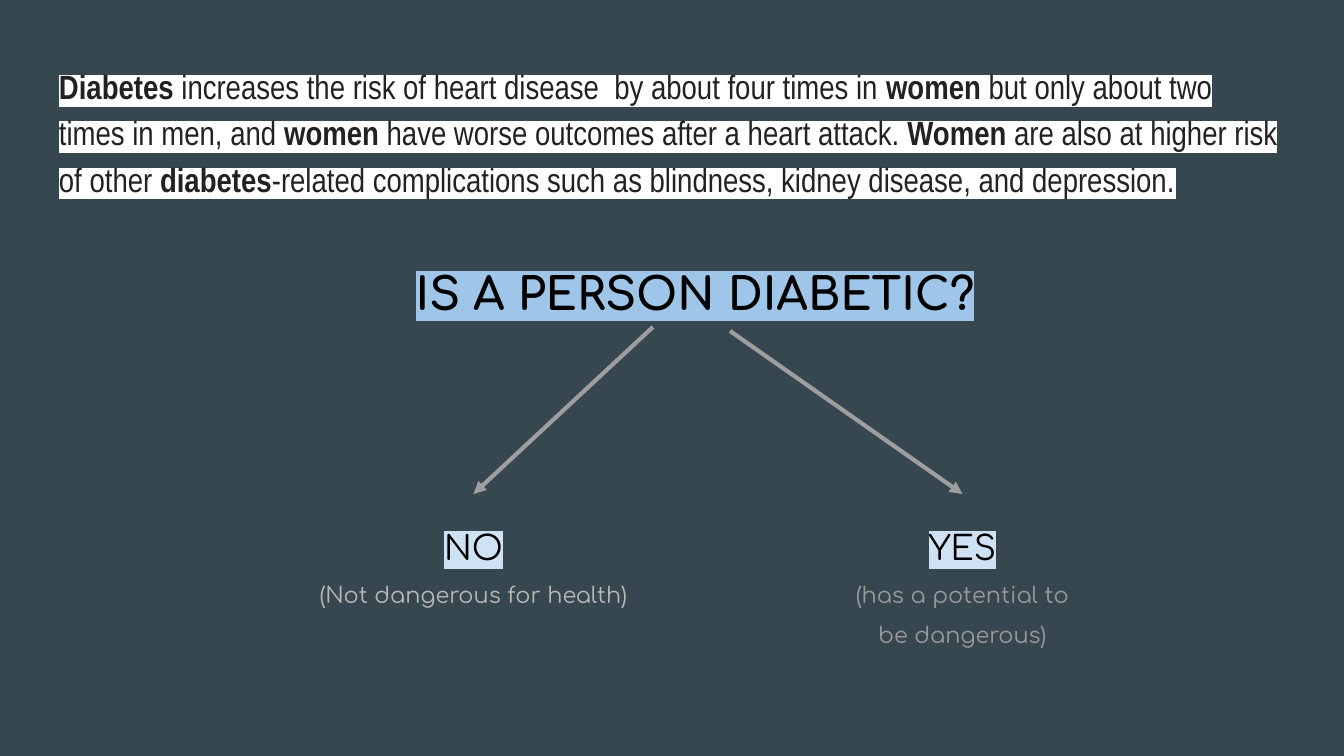
from lxml import etree
from pptx import Presentation
from pptx.dml.color import RGBColor
from pptx.enum.shapes import MSO_CONNECTOR
from pptx.enum.text import MSO_ANCHOR, MSO_AUTO_SIZE, PP_ALIGN
from pptx.oxml.ns import qn
from pptx.util import Pt

STRAIGHT = MSO_CONNECTOR.STRAIGHT
TOP_ANCHOR = MSO_ANCHOR.TOP
NO_AUTOFIT = MSO_AUTO_SIZE.NONE
LEFT, CENTER = PP_ALIGN.LEFT, PP_ALIGN.CENTER
EMU_PER_PX = 914400 / 134.4
TOP_SIDE = 0


def px(length):
    return round(length * EMU_PER_PX)


def color(hex_string):
    return RGBColor.from_string(hex_string)


class SlideWriter:
    background = "37474F"
    black = "000000"
    arrow_color = "9E9E9E"
    question_mark_color = "9FC5E8"
    answer_mark_color = "CFE2F3"
    display_font = "Comfortaa"
    body_font = "Arial Narrow"
    inset = 13

    def __init__(self, presentation):
        self.slide = presentation.slides.add_slide(presentation.slide_layouts[5])
        fill = self.slide.background.fill
        fill.solid()
        fill.fore_color.rgb = color(self.background)

    def frame(self, shape):
        """Give a text shape the common insets, wrapping and top anchor."""
        frame = shape.text_frame
        frame.word_wrap = True
        frame.auto_size = NO_AUTOFIT
        frame.vertical_anchor = TOP_ANCHOR
        frame.margin_left = frame.margin_right = px(self.inset)
        frame.margin_top = frame.margin_bottom = px(self.inset)
        return frame

    def text_box(self, left, top, width, height):
        return self.slide.shapes.add_textbox(px(left), px(top), px(width), px(height))

    def paragraph(self, paragraph, align, spacing, after=0):
        paragraph.alignment = align
        paragraph.line_spacing = spacing
        paragraph.space_before = Pt(0)
        paragraph.space_after = Pt(after)
        return paragraph

    def run(self, paragraph, text, size, font, ink, bold=False, mark=None):
        """Add one run; mark is the highlight colour behind it."""
        run = paragraph.add_run()
        run.text = text
        run.font.size = Pt(size)
        run.font.bold = bold
        run.font.color.rgb = color(ink)
        run.font.name = font
        if mark:
            highlight = etree.Element(qn("a:highlight"))
            etree.SubElement(highlight, qn("a:srgbClr"), val=mark)
            run.font._element.find(qn("a:solidFill")).addnext(highlight)

    def question(self, text, left, top, width, height):
        title = self.slide.shapes.title
        title.left, title.top = px(left), px(top)
        title.width, title.height = px(width), px(height)
        line = self.paragraph(self.frame(title).paragraphs[0], CENTER, 1.0)
        self.run(line, text, 24, self.display_font, self.black, True,
                 self.question_mark_color)

    def statement(self, pieces, left, top, width, height):
        """Write (text, bold) pieces as one highlighted paragraph."""
        frame = self.frame(self.text_box(left, top, width, height))
        line = self.paragraph(frame.paragraphs[0], LEFT, 1.15, 16)
        for text, bold in pieces:
            self.run(line, text, 18, self.body_font, "222222", bold, "FFFFFF")

    def answer(self, word, note, note_color, left, top, width, height):
        box = self.text_box(left, top, width, height)
        frame = self.frame(box)
        heading = self.paragraph(frame.paragraphs[0], CENTER, 1.5)
        self.run(heading, word, 18, self.display_font, self.black,
                 mark=self.answer_mark_color)
        detail = self.paragraph(frame.add_paragraph(), CENTER, 1.5)
        self.run(detail, note, 12, self.display_font, note_color)
        return box

    def arrow(self, x, y, target):
        """Draw an arrow from a point to the top middle of target."""
        arrow = self.slide.shapes.add_connector(
            STRAIGHT, px(x), px(y), target.left + target.width // 2, target.top)
        arrow.end_connect(target, TOP_SIDE)
        arrow.line.color.rgb = color(self.arrow_color)
        arrow.line.width = Pt(2.25)
        etree.SubElement(arrow.line._get_or_add_ln(), qn("a:tailEnd"), type="triangle")
        etree.SubElement(arrow._element.spPr, qn("a:effectLst"))


def main():
    presentation = Presentation()
    presentation.slide_width, presentation.slide_height = px(1344), px(756)
    writer = SlideWriter(presentation)

    writer.statement([
        ("Diabetes", True),
        (" increases the risk of heart disease  by about four times in ", False),
        ("women", True),
        (" but only about two times in men, and ", False),
        ("women", True),
        (" have worse outcomes after a heart attack. ", False),
        ("Women", True),
        (" are also at higher risk of other ", False),
        ("diabetes", True),
        ("-related complications such as blindness, kidney disease, and depression.",
         False),
    ], 46, 47, 1250, 503)
    writer.question("IS A PERSON DIABETIC?", 361, 253, 668, 125)

    answer_top, answer_height = 494, 125
    no_answer = writer.answer("NO", "(Not dangerous for health)", "B7B7B7",
                              294, answer_top, 359, answer_height)
    yes_answer = writer.answer("YES", "(has a potential to be dangerous)", "999999",
                               827, answer_top, 271, answer_height)
    writer.arrow(730, 331, yes_answer)
    writer.arrow(653, 327, no_answer)

    presentation.save("out.pptx")


if __name__ == "__main__":
    main()
